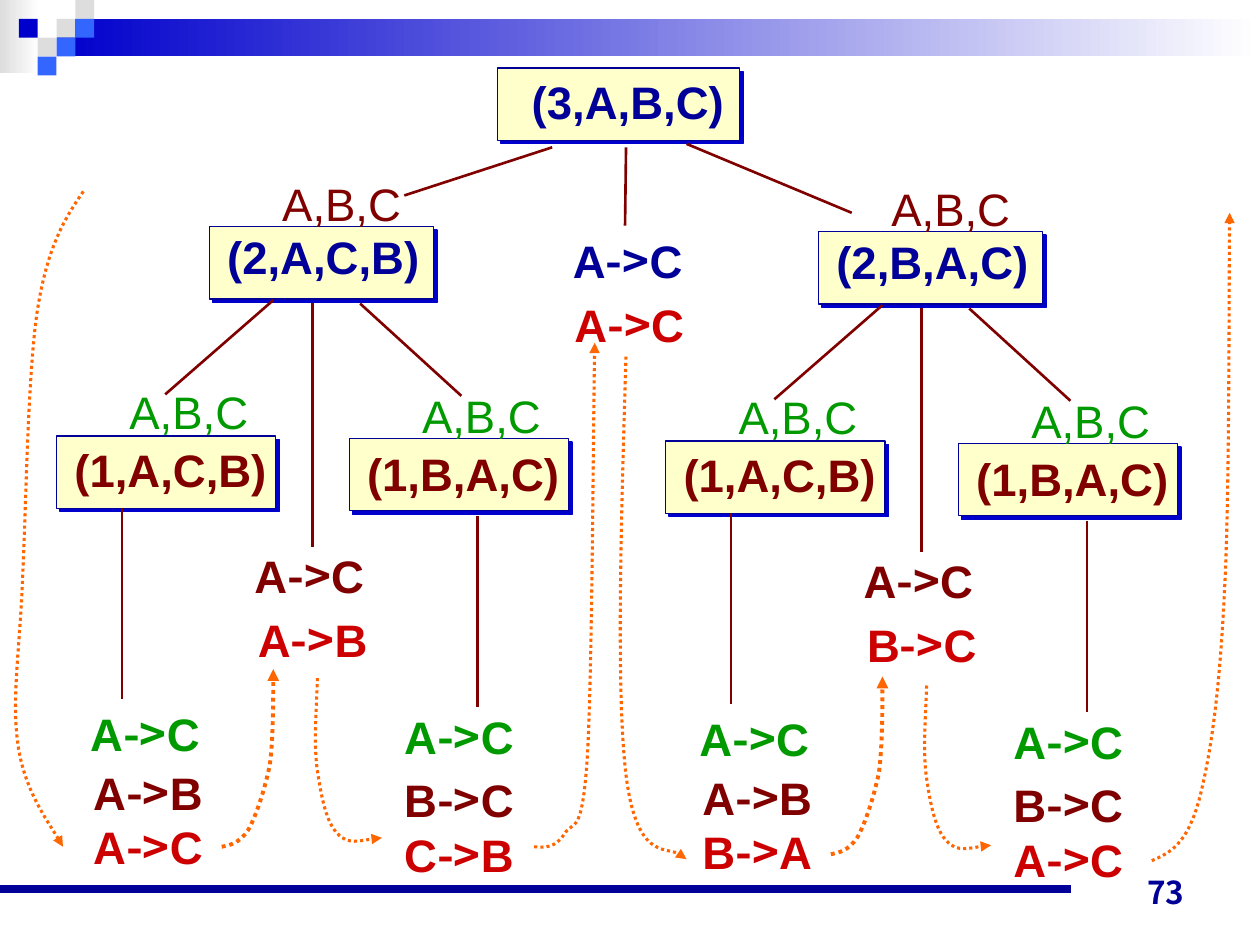
from lxml import etree
from pptx import Presentation
from pptx.dml.color import RGBColor
from pptx.enum.dml import MSO_LINE
from pptx.enum.shapes import MSO_CONNECTOR, MSO_SHAPE
from pptx.enum.text import MSO_ANCHOR, PP_ALIGN
from pptx.oxml.ns import qn
from pptx.util import Cm, Pt

RECTANGLE = MSO_SHAPE.RECTANGLE
STRAIGHT = MSO_CONNECTOR.STRAIGHT
DOTTED = MSO_LINE.ROUND_DOT
BOTTOM = MSO_ANCHOR.BOTTOM
LEFT, RIGHT = PP_ALIGN.LEFT, PP_ALIGN.RIGHT

NAVY, BLUE, SKY, GRAY, WHITE = "000099", "0000CC", "3366FF", "DDDDDD", "FFFFFF"
MAROON, GREEN, RED, ORANGE, CREAM = "800000", "009900", "CC0000", "FF6600", "FFFFCC"

rgb = RGBColor.from_string


def write_lines(frame, lines, bold=True):
    """Fill a text frame with (text, colour) lines; the arrow has its own font."""
    frame.word_wrap = False
    for index, (text, color) in enumerate(lines):
        paragraph = frame.add_paragraph() if index else frame.paragraphs[0]
        paragraph.alignment = LEFT
        paragraph.font.size = Pt(26)
        paragraph.font.bold = bold
        paragraph.font.color.rgb = rgb(color)
        start, arrow, end = text.partition("->")
        for part in filter(None, (start, arrow, end)):
            run = paragraph.add_run()
            run.text = part
            run.font.name = "Noto Sans CJK SC" if part == "->" else "Arial"


def add_line(x1, y1, x2, y2, color, width):
    line = slide.shapes.add_connector(STRAIGHT, Cm(x1), Cm(y1), Cm(x2), Cm(y2))
    line.line.color.rgb = rgb(color)
    line.line.width = Pt(width)
    etree.SubElement(line._element.spPr, qn("a:effectLst"))


presentation = Presentation()
presentation.slide_width, presentation.slide_height = Cm(25.4), Cm(19.05)
slide = presentation.slides.add_slide(presentation.slide_layouts[6])

# Header: two gradient bars and a pattern of squares
for left, top, width, height, color in [(0, 0, 0.79, 1.47, GRAY),
                                        (1.14, 0.38, 24.26, 0.76, BLUE)]:
    bar = slide.shapes.add_shape(RECTANGLE, Cm(left), Cm(top), Cm(width), Cm(height))
    bar.shadow.inherit = False
    bar.line.fill.background()
    bar.fill.gradient()
    bar.fill.gradient_angle = 0
    for stop, stop_color in zip(bar.fill.gradient_stops, (color, WHITE)):
        stop.color.rgb = rgb(stop_color)

SQUARE = 0.38
for column, row, color in [(3, 1, GRAY), (4, 0, GRAY), (4, 1, SKY), (2, 2, GRAY),
                           (1, 1, BLUE), (3, 2, SKY), (2, 3, SKY)]:
    square = slide.shapes.add_shape(RECTANGLE, Cm(column * SQUARE), Cm(row * SQUARE),
                                    Cm(SQUARE), Cm(SQUARE))
    square.shadow.inherit = False
    square.line.fill.background()
    square.fill.solid()
    square.fill.fore_color.rgb = rgb(color)

# Footer: rule and page number
add_line(0, 17.93, 21.59, 17.93, NAVY, 4.5)
number = slide.shapes.add_textbox(Cm(18.21), Cm(17.22), Cm(5.92), Cm(1.27))
number.text_frame.word_wrap = True
number.text_frame.vertical_anchor = BOTTOM
paragraph = number.text_frame.paragraphs[0]
paragraph.text = "73"
paragraph.alignment = RIGHT
paragraph.font.name = "Noto Sans CJK JP"
paragraph.font.size = Pt(18)
paragraph.font.bold = True
paragraph.font.color.rgb = rgb(NAVY)

# Root call and its middle move
# calls: left, top, width, left inset, top inset, text, colour
calls = [(10.03, 1.37, 4.88, 0.69, 0.13, "(3,A,B,C)", NAVY)]
labels = []
moves = [(11.3, 4.57, [("A->C", NAVY)]), (11.33, 5.87, [("A->C", RED)])]
branches = [(12.62, 2.97, 12.6, 4.55), (11.13, 2.97, 8.15, 3.94), (13.84, 2.9, 17.17, 4.29)]
# trails: line width, start point, then three points for each curve segment
trails = [
    (1.75, [(10.77, 17.07), (11, 17.09), (11.2, 17.09), (11.38, 16.81), (11.56, 16.51),
            (11.73, 16.92), (11.84, 15.27), (11.94, 13.61), (11.96, 8.31), (11.99, 6.91)]),
    (1.75, [(12.62, 7.19), (12.52, 10.54), (12.42, 13.92), (12.62, 15.62),
            (12.83, 17.3), (13.64, 17.04), (13.84, 17.32)]),
    (1.75, [(1.68, 3.86), (1.32, 4.39), (0.97, 4.93), (0.76, 6.22), (0.56, 7.49),
            (0.53, 10.11), (0.46, 11.56), (0.41, 13.03), (0.23, 14.05), (0.36, 14.99),
            (0.48, 15.9), (1.09, 16.74), (1.27, 17.07)]),
    (1.75, [(23.22, 17.35), (23.57, 17.2), (23.93, 17.04), (24.18, 16.1), (24.41, 15.19),
            (24.59, 13.97), (24.69, 11.81), (24.79, 9.86), (24.77, 5.54), (24.79, 4.29)]),
]
rising = [(4.47, 17.07), (4.65, 17.04), (4.83, 16.99), (5, 16.74), (5.16, 16.46),
          (5.33, 15.95), (5.44, 15.42), (5.51, 14.88), (5.51, 13.82), (5.51, 13.49)]
falling = [(6.4, 13.67), (6.38, 14.33), (6.32, 15.01), (6.4, 15.54), (6.48, 16.08),
           (6.58, 16.59), (6.81, 16.81), (7.01, 17.04), (7.54, 16.89), (7.7, 16.89)]

# Two subtrees of the same form, the second one moved right and slightly down
for dx, dy, call, middle, first, last in [
        (0, 0, "(2,A,C,B)", "A->B", "A->C", "C->B"),
        (12.28, 0.1, "(2,B,A,C)", "B->C", "B->A", "A->C")]:
    calls += [(4.22 + dx, 4.57 + dy, 4.52, 0.36, 0.05, call, NAVY),
              (1.14 + dx, 8.79 + dy, 4.42, 0.36, 0.13, "(1,A,C,B)", MAROON),
              (7.04 + dx, 8.84 + dy, 4.42, 0.36, 0.15, "(1,B,A,C)", MAROON)]
    labels += [(5.44 + dx, 3.43 + dy, MAROON),
               (2.36 + dx, 7.62 + dy, GREEN),
               (8.26 + dx, 7.7 + dy, GREEN)]
    moves += [(x + dx, y + dy, lines) for x, y, lines in [
        (4.88, 10.92, [("A->C", MAROON)]),
        (4.95, 12.22, [(middle, RED)]),
        (1.57, 14.1, [("A->C", GREEN)]),
        (1.63, 15.29, [("A->B", MAROON), (first, RED)]),
        (7.9, 14.17, [("A->C", GREEN)]),
        (7.9, 15.44, [("B->C", MAROON), (last, RED)])]]
    branches += [(x1 + dx, y1 + dy, x2 + dx, y2 + dy) for x1, y1, x2, y2 in [
        (5.51, 6.05, 3.33, 7.95), (6.3, 6.1, 6.3, 11.02), (7.26, 6.12, 9.3, 7.98),
        (2.46, 10.24, 2.46, 14.1), (9.63, 10.41, 9.63, 14.25)]]
    trails += [(width, [(x + dx, y + 1.5 * dy) for x, y in points])
               for width, points in [(2.25, rising), (1.75, falling)]]

# Call boxes with a hard offset shadow
for left, top, width, inset_left, inset_top, text, color in calls:
    box = slide.shapes.add_shape(RECTANGLE, Cm(left), Cm(top), Cm(width), Cm(1.46))
    box.fill.solid()
    box.fill.fore_color.rgb = rgb(CREAM)
    box.line.color.rgb = rgb(NAVY)
    box.line.width = Pt(0.75)
    box.shadow.inherit = False
    effects = box._element.spPr.find(qn("a:effectLst"))
    shadow = etree.SubElement(effects, qn("a:outerShdw"), dist=str(Pt(2.8)),
                              dir="2700000", algn="ctr", rotWithShape="0")
    etree.SubElement(shadow, qn("a:srgbClr"), val=BLUE)
    frame = box.text_frame
    frame.vertical_anchor = MSO_ANCHOR.TOP
    frame.margin_left, frame.margin_top = Cm(inset_left), Cm(inset_top)
    frame.margin_right = frame.margin_bottom = 0
    write_lines(frame, [(text, color)])

# Branches of the call tree
for branch in branches:
    add_line(*branch, MAROON, 1.5)

# Peg labels and moves
for left, top, color in labels:
    label = slide.shapes.add_textbox(Cm(left), Cm(top), Cm(2.92), Cm(1.35))
    write_lines(label.text_frame, [("A,B,C", color)], bold=False)
for left, top, lines in moves:
    move = slide.shapes.add_textbox(Cm(left), Cm(top), Cm(2.74), Cm(0.25 + 1.1 * len(lines)))
    write_lines(move.text_frame, lines)

# Dotted trails: each three line points become one Bezier segment
for width, points in trails:
    start, *rest = [(Cm(x), Cm(y)) for x, y in points]
    builder = slide.shapes.build_freeform(*start)
    builder.add_line_segments(rest, close=False)
    trail = builder.convert_to_shape()
    trail.shadow.inherit = False
    trail.fill.background()
    trail.line.color.rgb = rgb(ORANGE)
    trail.line.width = Pt(width)
    trail.line.dash_style = DOTTED
    properties = trail._element.spPr
    etree.SubElement(properties.find(qn("a:ln")), qn("a:tailEnd"), type="triangle")
    outline = properties.find(".//" + qn("a:path"))
    segments = outline.findall(qn("a:lnTo"))
    for index in range(0, len(segments), 3):
        curve = etree.SubElement(outline, qn("a:cubicBezTo"))
        for segment in segments[index:index + 3]:
            curve.append(segment[0])
            outline.remove(segment)

presentation.save("out.pptx")
